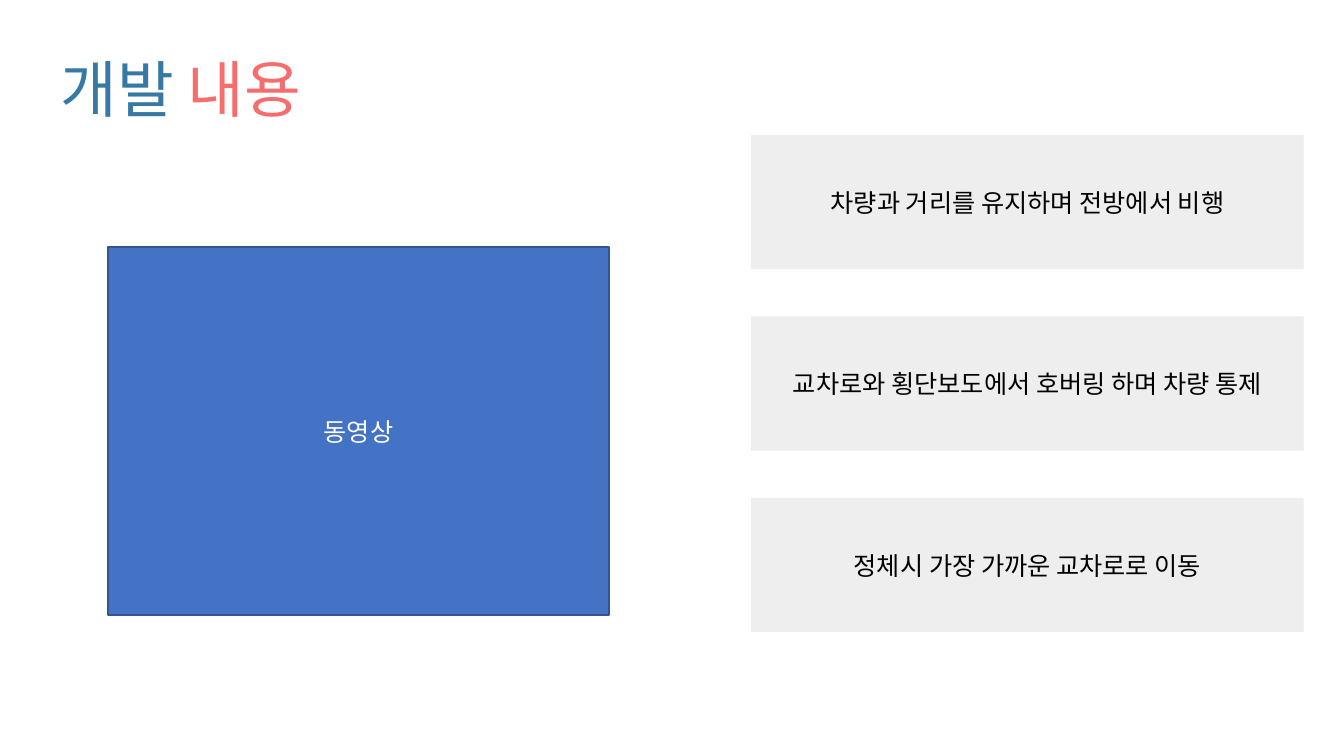
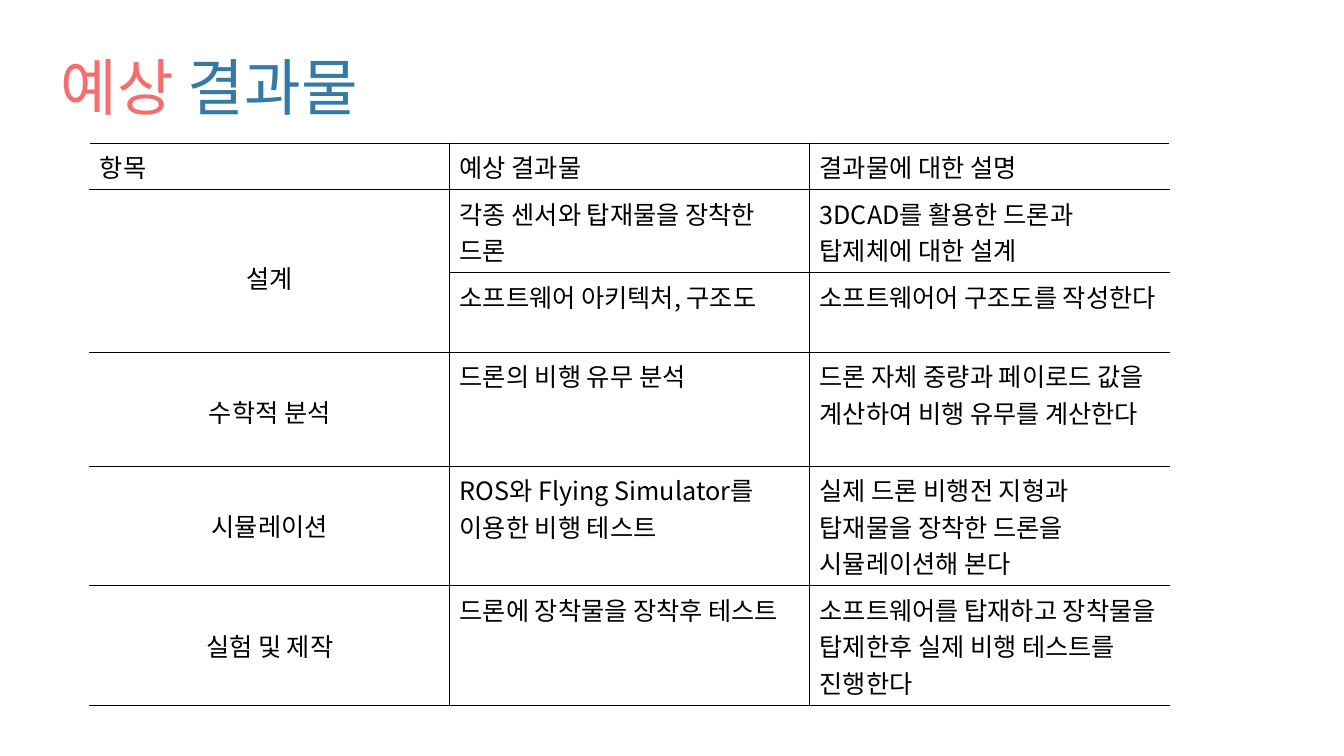
from lxml import etree
from pptx import Presentation
from pptx import util as u
from pptx.dml.color import RGBColor
from pptx.enum import shapes, text
from pptx.oxml import ns

COLORS = {
    "blue": "3679A4",
    "coral": "F56D6D",
    "panel": "EEEEEE",
    "video": "4472C4",
    "video_edge": "325491",
    "black": "000000",
    "white": "FFFFFF",
}


def rgb(name):
    return RGBColor.from_string(COLORS[name])


class Deck:
    font = "Noto Sans CJK KR"
    title_size = 44
    body_size = 18
    line_height = 0.36
    cell_margin = 0.05

    def __init__(self):
        self.prs = Presentation()
        self.prs.slide_width = u.Inches(13.33)
        self.prs.slide_height = u.Inches(7.5)
        self.slide = None

    def style_run(self, run, color, size):
        run.font.name = self.font
        run.font.size = u.Pt(size)
        run.font.bold = False
        run.font.color.rgb = rgb(color)
        east_asian = etree.Element(ns.qn("a:ea"), typeface=self.font)
        run.font._element.find(ns.qn("a:latin")).addnext(east_asian)

    def style_text(self, frame, color, align):
        for paragraph in frame.paragraphs:
            paragraph.alignment = align
            for run in paragraph.runs:
                self.style_run(run, color, self.body_size)

    def add_slide(self, title_parts, top):
        self.slide = self.prs.slides.add_slide(self.prs.slide_layouts[5])
        title = self.slide.shapes.title
        title.left, title.top = u.Inches(0.5), u.Inches(top)
        title.width, title.height = u.Inches(11.5), u.Inches(1.45)
        frame = title.text_frame
        frame.auto_size = text.MSO_AUTO_SIZE.NONE
        frame.vertical_anchor = text.MSO_ANCHOR.MIDDLE
        paragraph = frame.paragraphs[0]
        paragraph.alignment = text.PP_ALIGN.LEFT
        paragraph.line_spacing = 0.9
        for words, color in title_parts:
            run = paragraph.add_run()
            run.text = words
            self.style_run(run, color, self.title_size)

    def add_box(self, words, left, top, width, height, fill, color, edge=None):
        box = self.slide.shapes.add_shape(
            shapes.MSO_SHAPE.RECTANGLE,
            u.Inches(left), u.Inches(top), u.Inches(width), u.Inches(height))
        box.shadow.inherit = False
        box.fill.solid()
        box.fill.fore_color.rgb = rgb(fill)
        if edge:
            box.line.color.rgb = rgb(edge)
            box.line.width = u.Pt(1)
        else:
            box.line.fill.background()
        box.text_frame.text = words
        box.text_frame.word_wrap = True
        box.text_frame.vertical_anchor = text.MSO_ANCHOR.MIDDLE
        self.style_text(box.text_frame, color, text.PP_ALIGN.CENTER)

    def add_borders(self, cell, sides):
        properties = cell._tc.get_or_add_tcPr()
        for position, side in enumerate(sides):
            line = etree.Element(ns.qn(f"a:ln{side}"), w=str(u.Pt(1)))
            fill = etree.SubElement(line, ns.qn("a:solidFill"))
            etree.SubElement(fill, ns.qn("a:srgbClr"), val=COLORS["black"])
            properties.insert(position, line)

    def add_table(self, rows, left, top, column_width, row_heights, merges, label_drops):
        column_sides = ("RTB", "LRTB", "LTB")
        columns = len(column_sides)
        table = self.slide.shapes.add_table(
            len(rows), columns, u.Inches(left), u.Inches(top),
            u.Inches(column_width * columns), u.Inches(sum(row_heights))).table
        table.first_row = False
        table.horz_banding = False
        for column in table.columns:
            column.width = u.Inches(column_width)
        for row, height in zip(table.rows, row_heights):
            row.height = u.Inches(height)
        for first, last in merges:
            table.cell(*first).merge(table.cell(*last))
        for r, row in enumerate(rows):
            for c, words in enumerate(row):
                cell = table.cell(r, c)
                cell.fill.solid()
                cell.fill.fore_color.rgb = rgb("white")
                self.add_borders(cell, column_sides[c])
                if not words:
                    continue
                is_label = r > 0 and c == 0
                cell.text_frame.text = words
                drop = label_drops[r] if is_label else 0
                cell.margin_top = u.Inches(self.cell_margin + drop)
                align = text.PP_ALIGN.CENTER if is_label else text.PP_ALIGN.LEFT
                self.style_text(cell.text_frame, "black", align)

    def save(self):
        self.prs.save("out.pptx")


def build_development(deck):
    deck.add_slide([("개발 ", "blue"), ("내용", "coral")], 0.19)
    features = (
        "차량과 거리를 유지하며 전방에서 비행",
        "교차로와 횡단보도에서 호버링 하며 차량 통제",
        "정체시 가장 가까운 교차로로 이동",
    )
    for i, feature in enumerate(features):
        deck.add_box(feature, 7.45, 1.34 + 1.8 * i, 5.48, 1.33, "panel", "black")
    deck.add_box("동영상", 1.07, 2.45, 4.97, 3.65, "video", "white", "video_edge")


def build_results(deck):
    deck.add_slide([("예상", "coral"), (" 결과물", "blue")], 0.17)
    results = (
        ("항목", "예상 결과물", "결과물에 대한 설명"),
        ("설계", "각종 센서와 탑재물을 장착한 드론",
         "3DCAD를 활용한 드론과 탑제체에 대한 설계"),
        ("", "소프트웨어 아키텍처, 구조도", "소프트웨어어 구조도를 작성한다"),
        ("수학적 분석", "드론의 비행 유무 분석",
         "드론 자체 중량과 페이로드 값을 계산하여 비행 유무를 계산한다"),
        ("시뮬레이션", "ROS와 Flying Simulator를 이용한 비행 테스트",
         "실제 드론 비행전 지형과 탑재물을 장착한 드론을 시뮬레이션해 본다"),
        ("실험 및 제작", "드론에 장착물을 장착후 테스트",
         "소프트웨어를 탑재하고 장착물을 탑제한후 실제 비행 테스트를 진행한다"),
    )
    row_heights = [0.45] + [0.79] * 2 + [1.13] * 3
    label_drops = [0, 0.64, 0] + [deck.line_height] * 3
    deck.add_table(results, 0.89, 1.42, 3.57, row_heights,
                   [((1, 0), (2, 0))], label_drops)


def main():
    deck = Deck()
    build_development(deck)
    build_results(deck)
    deck.save()


if __name__ == "__main__":
    main()
